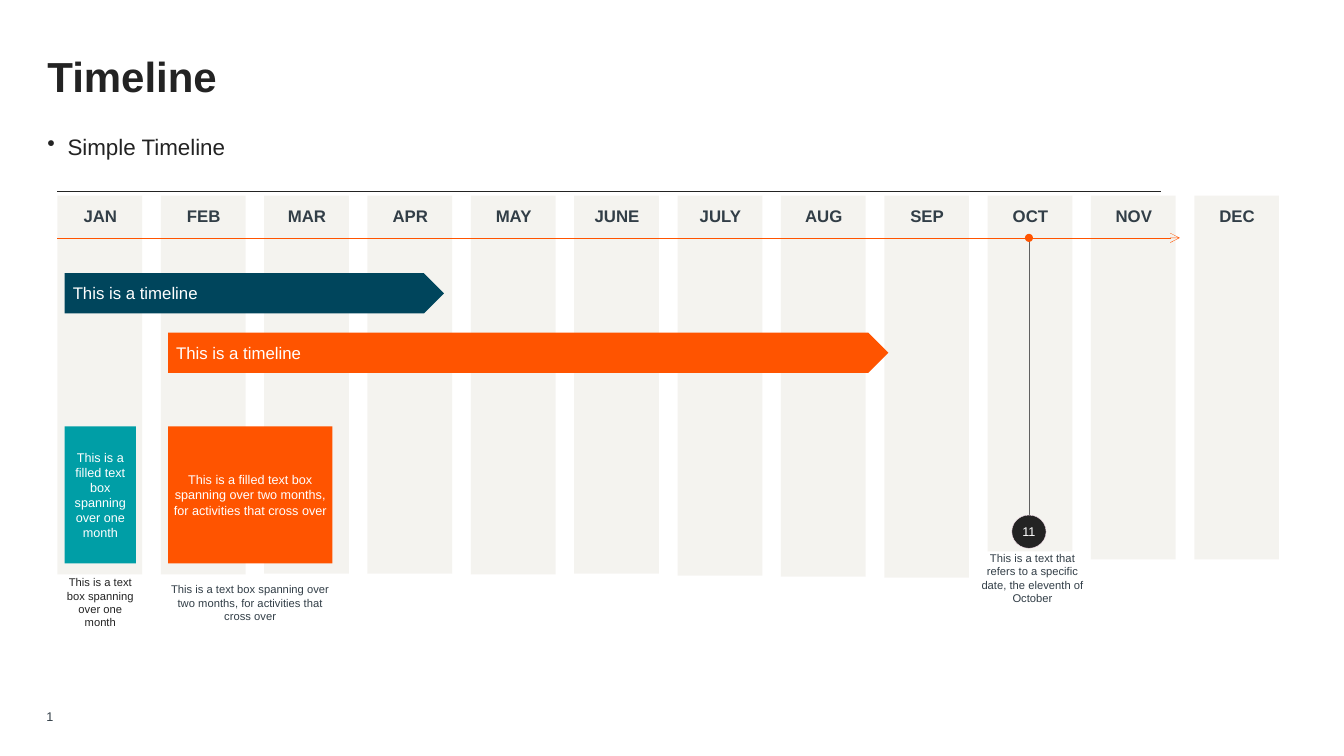
from dataclasses import dataclass

from pptx import Presentation
from pptx.dml.color import RGBColor as RGB
from pptx.enum.shapes import MSO_CONNECTOR as CONN, MSO_SHAPE as SHAPE
from pptx.enum.text import MSO_ANCHOR as ANCHOR, MSO_AUTO_SIZE as FIT, PP_ALIGN as ALIGN
from pptx.oxml.xmlchemy import OxmlElement
from pptx.util import Inches, Pt


@dataclass(frozen=True)
class Theme:
    font: str = "Arial"
    ink: str = "232323"
    slate: str = "323E47"
    sand: str = "EDEBE5"
    navy: str = "00455C"
    orange: str = "FF5400"
    teal: str = "009EA6"
    grey: str = "606060"
    blush: str = "FFE6F4"
    white: str = "FFFFFF"
    title: int = 30
    lead: int = 16
    label: int = 12
    small: int = 9
    note: int = 8


@dataclass(frozen=True)
class Box:
    x: float
    y: float
    w: float
    h: float

    def emu(self):
        return [Inches(v) for v in (self.x, self.y, self.w, self.h)]

    def col(self, i):
        return self.x + i * self.w / len(MONTHS)

    def row(self, share):
        return self.y + share * self.h

    def cell(self, i, top, cols, height):
        return Box(self.col(i), self.row(top), cols * self.w / len(MONTHS), height * self.h)


T = Theme()
MONTHS = ("JAN", "FEB", "MAR", "APR", "MAY", "JUNE", "JULY", "AUG", "SEP", "OCT", "NOV", "DEC")
BOTTOMS = (5.7, 5.7, 5.69, 5.69, 5.7, 5.69, 5.71, 5.72, 5.73, 5.68, 5.55, 5.55)
INSET, COLUMN, LABEL = 0.07, 0.82, 0.69


def write(sp, text, size, color, bold=False, align=ALIGN.LEFT, anchor=ANCHOR.TOP, pad=(0, 0)):
    tf = sp.text_frame
    tf.text = text
    tf.word_wrap = True
    tf.auto_size = FIT.NONE
    tf.vertical_anchor = anchor
    tf.margin_left = tf.margin_right = Inches(pad[0])
    tf.margin_top = tf.margin_bottom = Inches(pad[1])
    p = tf.paragraphs[0]
    p.alignment = align
    for r in p.runs:
        r.font.name, r.font.size, r.font.bold = T.font, Pt(size), bold
        r.font.color.rgb = RGB.from_string(color)
    return p


def text(s, box, words, size, color, **style):
    return write(s.shapes.add_textbox(*box.emu()), words, size, color, **style)


def shape(s, kind, box, fill):
    sp = s.shapes.add_shape(kind, *box.emu())
    sp.shadow.inherit = False
    sp.fill.solid()
    sp.fill.fore_color.rgb = RGB.from_string(fill)
    sp.line.fill.background()
    return sp


def line(s, x1, y1, x2, y2, color, width, arrow=False):
    c = s.shapes.add_connector(CONN.STRAIGHT, *[Inches(v) for v in (x1, y1, x2, y2)])
    c.line.color.rgb = RGB.from_string(color)
    c.line.width = Pt(width)
    if arrow:
        tail = OxmlElement("a:tailEnd")
        tail.set("type", "arrow")
        c.line._get_or_add_ln().append(tail)
    c._element.spPr.append(OxmlElement("a:effectLst"))


def header(s, box):
    title = s.shapes.title
    title.left, title.top, title.width, title.height = Box(box.x, box.y, box.w, 0.48).emu()
    write(title, "Timeline", T.title, T.ink, bold=True).line_spacing = 0.9
    lead = Box(box.x, box.row(0.61), box.w * 0.71, 0.48)
    p = text(s, lead, "Simple Timeline", T.lead, T.ink)
    p.space_after = Pt(10)
    props = p._p.get_or_add_pPr()
    props.set("marL", str(Inches(0.2)))
    props.set("indent", str(-Inches(0.2)))
    bullet = OxmlElement("a:buChar")
    bullet.set("char", "•")
    props.append(bullet)


def months(s, box):
    for i, bottom in enumerate(BOTTOMS):
        band = box.cell(i, 0.01, COLUMN, 0)
        sp = shape(s, SHAPE.RECTANGLE, Box(band.x, band.y, band.w, bottom - band.y), T.sand)
        alpha = OxmlElement("a:alpha")
        alpha.set("val", "58000")
        sp._element.spPr.find(".//{*}srgbClr").append(alpha)
    for i, month in enumerate(MONTHS):
        text(s, box.cell(i + INSET, 0.035, LABEL, 0.05), month, T.label, T.slate,
             bold=True, align=ALIGN.CENTER)


def activities(s, box):
    for start, top, cols, fill in ((0, 0.2025, 3.67, T.navy), (1, 0.35, 6.97, T.orange)):
        bar = shape(s, SHAPE.PENTAGON, box.cell(start + INSET, top, cols, 0.1), fill)
        write(bar, "This is a timeline", T.label, T.white, anchor=ANCHOR.MIDDLE, pad=(0.08, 0.04))
    one = "spanning over one month"
    two = "spanning over two months, for activities that cross over"
    for start, cols, span, fill, top, color in (
            (0, LABEL, one, T.teal, 0.9525, T.ink), (1, 1.59, two, T.orange, 0.97, T.slate)):
        card = shape(s, SHAPE.RECTANGLE, box.cell(start + INSET, 0.5825, cols, 0.34), fill)
        write(card, f"This is a filled text box {span}", T.small, T.white,
              align=ALIGN.CENTER, anchor=ANCHOR.MIDDLE, pad=(0.04, 0.04))
        text(s, box.cell(start + INSET, top, cols, 0.135), f"This is a text box {span}",
             T.note, color, align=ALIGN.CENTER)


def milestone(s, box, month, axis):
    x, top = box.col(month + COLUMN / 2) - 0.01, box.row(0.8025)
    line(s, x, top, x, axis, T.grey, 0.5)
    shape(s, SHAPE.OVAL, Box(x - 0.04, axis - 0.04, 0.08, 0.08), T.orange)
    day = shape(s, SHAPE.OVAL, Box(x - 0.17, top, 0.34, 0.33), T.ink)
    day.line.color.rgb = RGB.from_string(T.blush)
    day.line.width = Pt(0.25)
    write(day, "11", T.small, T.white, align=ALIGN.CENTER, anchor=ANCHOR.MIDDLE, pad=(0, 0.04))
    note = shape(s, SHAPE.RECTANGLE, box.cell(month - 0.11, 0.8925, 1.09, 0.135), T.white)
    write(note, "This is a text that refers to a specific date, the eleventh of October",
          T.note, T.slate, align=ALIGN.CENTER)


def timeline(s, box):
    axis = box.row(0.115)
    months(s, box)
    activities(s, box)
    milestone(s, box, MONTHS.index("OCT"), axis)
    line(s, box.x, axis, box.col(10.86), axis, T.orange, 0.25, arrow=True)
    line(s, box.x, box.y, box.col(10.68), box.y, T.ink, 0.25)


def main():
    prs = Presentation()
    prs.slide_width, prs.slide_height = Inches(13.33), Inches(7.5)
    s = prs.slides.add_slide(prs.slide_layouts[5])
    header(s, Box(0.47, 0.56, 12.4, 1.24))
    timeline(s, Box(0.57, 1.9, 12.3, 4))
    text(s, Box(0.46, 7.03, 0.71, 0.2), "1", T.small, T.slate)
    prs.save("out.pptx")


if __name__ == "__main__":
    main()
